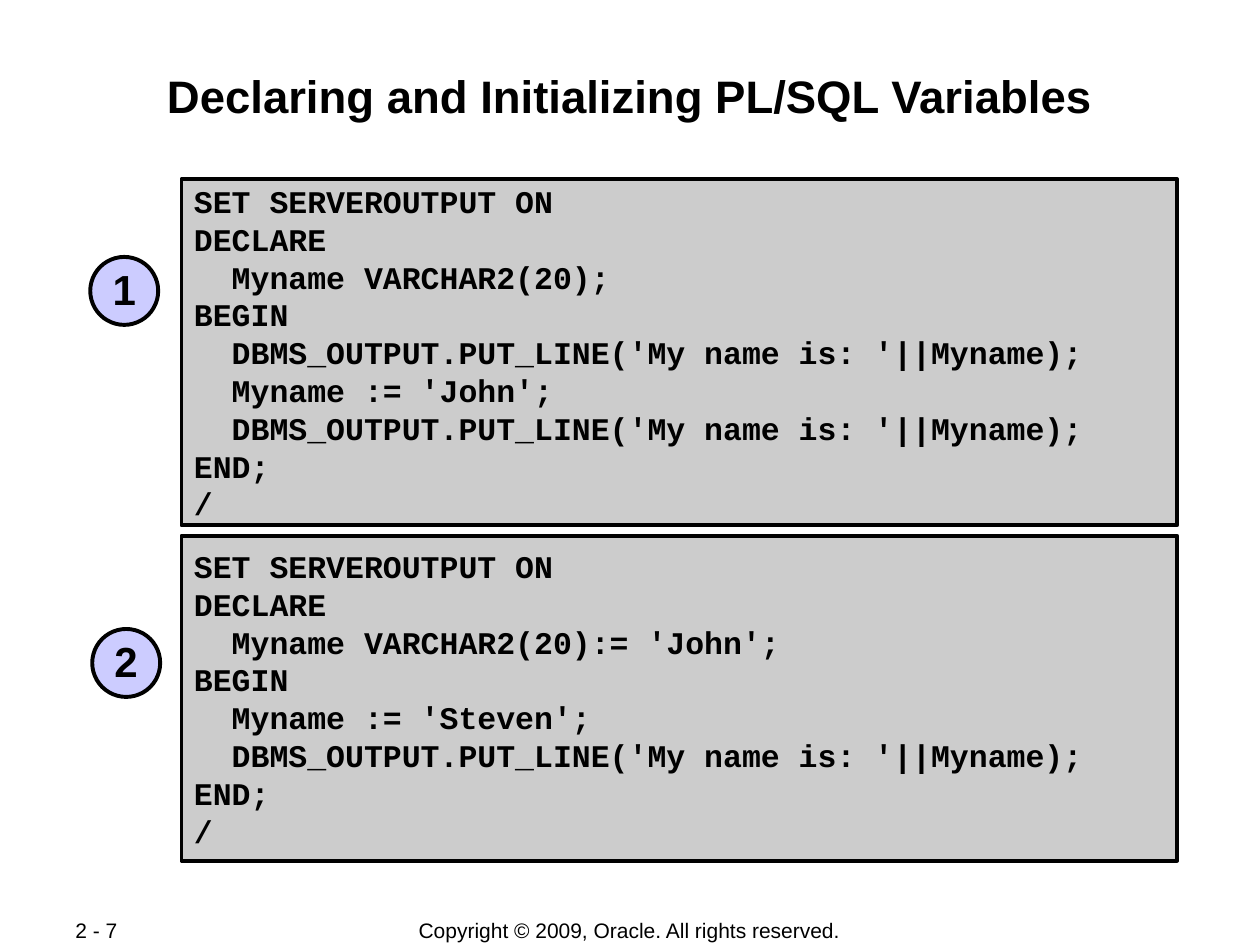
import pptx
import pptx.util
import pptx.dml.color
import pptx.enum.shapes
import pptx.enum.text

Cm = pptx.util.Cm
Pt = pptx.util.Pt
ALIGN = pptx.enum.text.PP_ALIGN
ANCHOR = pptx.enum.text.MSO_ANCHOR
SHAPE = pptx.enum.shapes.MSO_SHAPE


def color(value):
    return pptx.dml.color.RGBColor.from_string(value)


def write(shape, text, size, bold, align, anchor, margins, font="Arial", spacing=None):
    frame = shape.text_frame
    frame.word_wrap = True
    frame.vertical_anchor = anchor
    frame.margin_left = frame.margin_right = Cm(margins[0])
    frame.margin_top = frame.margin_bottom = Cm(margins[1])
    frame.text = text
    for paragraph in frame.paragraphs:
        paragraph.alignment = align
        paragraph.line_spacing = spacing
        paragraph.font.name = font
        paragraph.font.size = Pt(size)
        paragraph.font.bold = bold
        paragraph.font.color.rgb = color("000000")


presentation = pptx.Presentation()
presentation.slide_width = Cm(25.4)
presentation.slide_height = Cm(19.05)
slide = presentation.slides.add_slide(presentation.slide_layouts[6])

labels = [
    ("Copyright © 2009, Oracle. All rights reserved.", 6.99, 18.49, 11.4, 0.53,
     12, False, ALIGN.CENTER, ANCHOR.MIDDLE, (0.25, 0.13)),
    ("2 - 7", 1.27, 18.49, 2.69, 0.51,
     12, False, ALIGN.LEFT, ANCHOR.MIDDLE, (0.25, 0.13)),
    ("Declaring and Initializing PL/SQL Variables", 1.7, 1.35, 22, 2.3,
     26, True, ALIGN.CENTER, ANCHOR.TOP, (0.03, 0.03)),
]
for text, left, top, width, height, *style in labels:
    box = slide.shapes.add_textbox(Cm(left), Cm(top), Cm(width), Cm(height))
    write(box, text, *style)

first_code = """SET SERVEROUTPUT ON
DECLARE
  Myname VARCHAR2(20);
BEGIN\v  DBMS_OUTPUT.PUT_LINE('My name is: '||Myname);
  Myname := 'John';
  DBMS_OUTPUT.PUT_LINE('My name is: '||Myname);
END;
/"""
second_code = """SET SERVEROUTPUT ON
DECLARE
  Myname VARCHAR2(20):= 'John';
BEGIN
  Myname := 'Steven';
  DBMS_OUTPUT.PUT_LINE('My name is: '||Myname);
END;
/"""

code_style = (18, True, ALIGN.LEFT, ANCHOR.MIDDLE, (0.25, 0.03), "Courier New")
number_style = (24, True, ALIGN.CENTER, ANCHOR.MIDDLE, (0.13, 0.13), "Arial", 0.95)
shapes = [
    (SHAPE.RECTANGLE, 3.66, 3.61, 20.07, 6.98, "CCCCCC", first_code, code_style),
    (SHAPE.RECTANGLE, 3.66, 10.8, 20.07, 6.55, "CCCCCC", second_code, code_style),
    (SHAPE.OVAL, 1.82, 5.18, 1.37, 1.37, "CCCCFF", "1", number_style),
    (SHAPE.OVAL, 1.86, 12.68, 1.37, 1.37, "CCCCFF", "2", number_style),
]
for kind, left, top, width, height, fill, text, style in shapes:
    shape = slide.shapes.add_shape(kind, Cm(left), Cm(top), Cm(width), Cm(height))
    shape.shadow.inherit = False
    shape.fill.solid()
    shape.fill.fore_color.rgb = color(fill)
    shape.line.color.rgb = color("000000")
    shape.line.width = Pt(2.25)
    write(shape, text, *style)
    if kind == SHAPE.OVAL:
        shape.text_frame.word_wrap = False

presentation.save("out.pptx")
